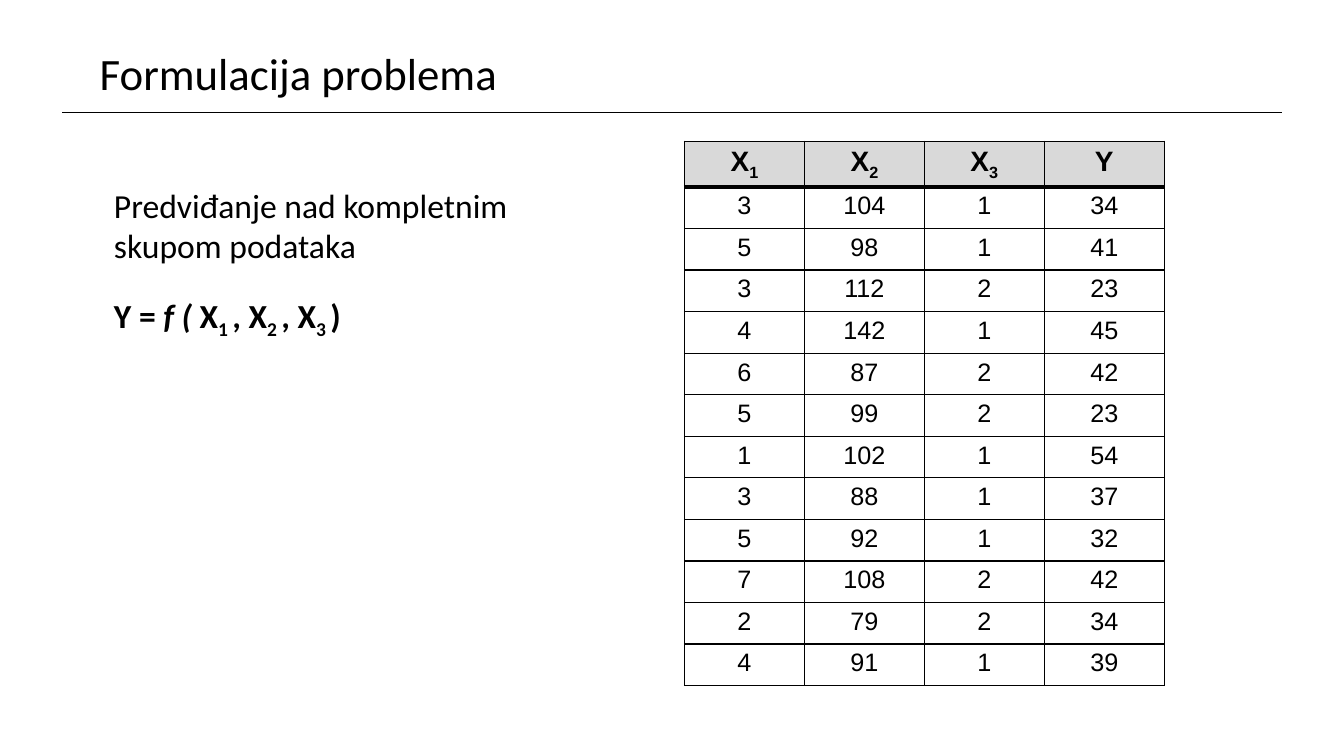
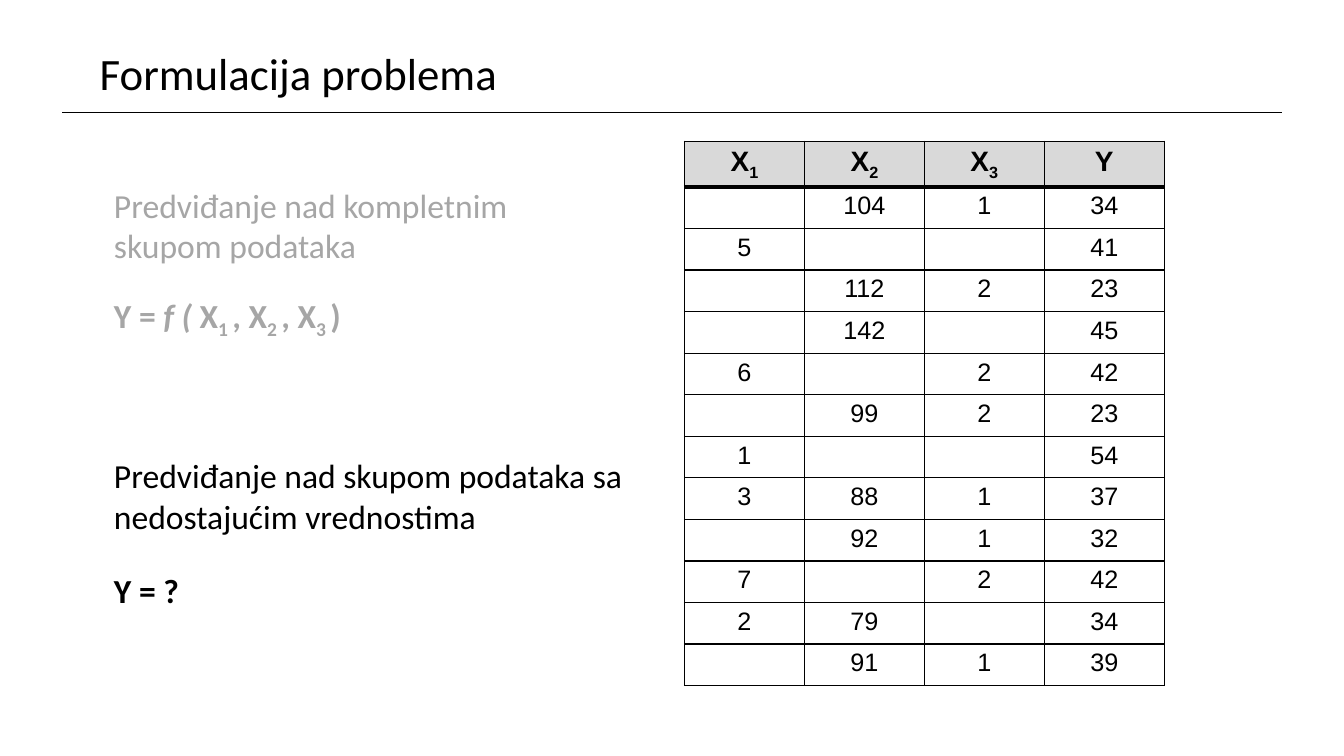
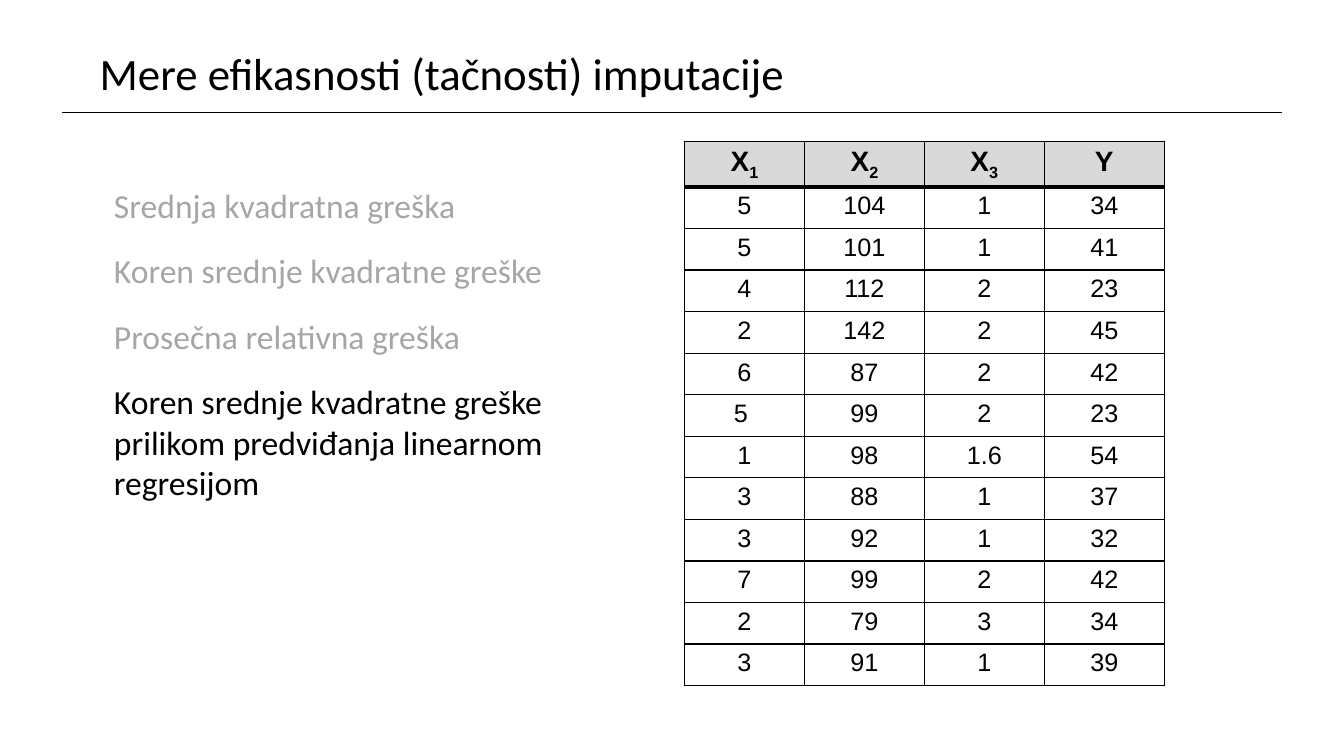
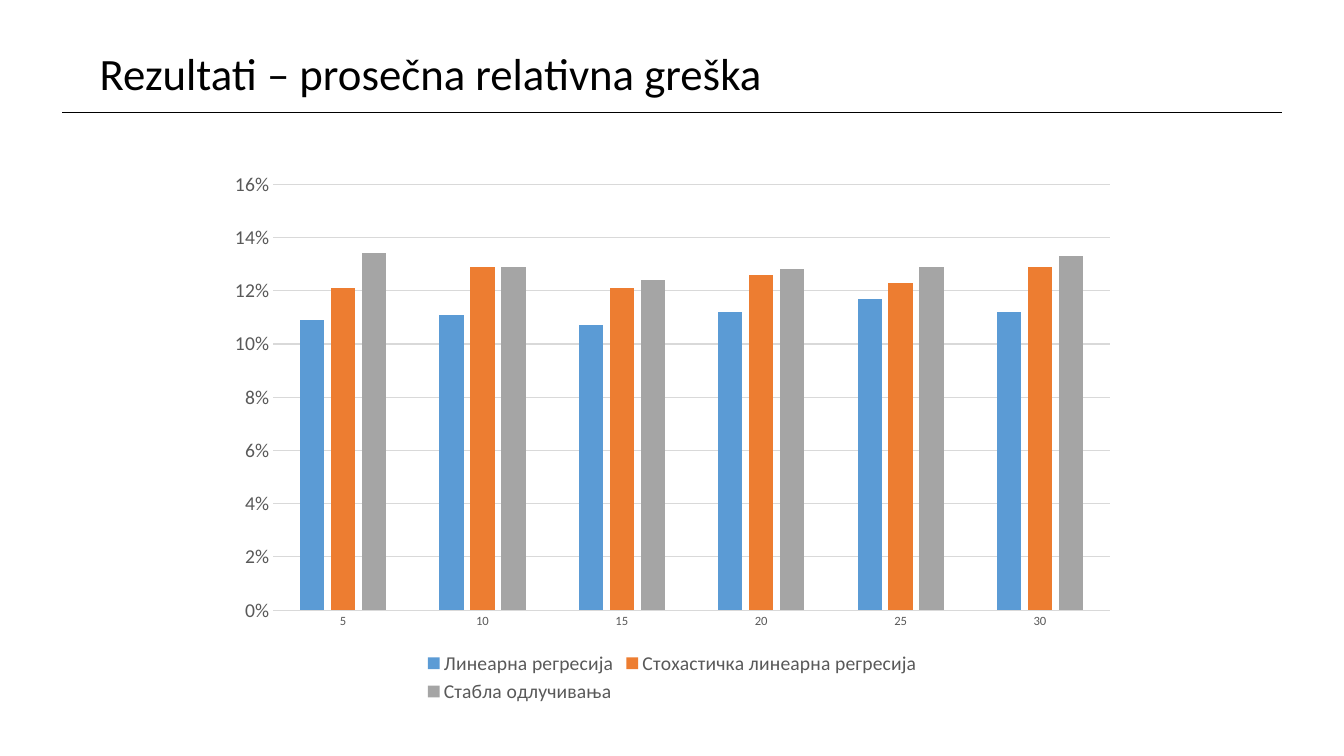
from dataclasses import dataclass

from lxml.etree import SubElement
from pptx import Presentation
from pptx.chart.data import CategoryChartData
from pptx.dml.color import RGBColor
from pptx.enum.chart import XL_CHART_TYPE as ChartType
from pptx.enum.chart import XL_LEGEND_POSITION as LegendPosition
from pptx.enum.chart import XL_TICK_MARK as TickMark
from pptx.enum.shapes import MSO_CONNECTOR as Connector
from pptx.enum.text import MSO_ANCHOR as Anchor
from pptx.enum.text import MSO_AUTO_SIZE as AutoSize
from pptx.enum.text import PP_ALIGN as Align
from pptx.oxml.ns import qn
from pptx.util import Pt


@dataclass(frozen=True)
class Theme:
    font: str = "Calibri"
    table_font: str = "Arial"
    ink: str = "000000"
    faded: str = "A6A6A6"
    header_fill: str = "D9D9D9"
    chart_text: str = "595959"
    chart_line: str = "D9D9D9"
    series: tuple = ("5B9BD5", "ED7D31", "A5A5A5")
    title_size: int = 32
    body_size: int = 24
    header_size: int = 20
    cell_size: int = 18
    chart_size: int = 14
    category_size: int = 9


THEME = Theme()

# Left, top, width and height in points
PAGE_SIZE = (960, 540)
TITLE_BOX = (64, 28.8, 645, 46)
BODY_BOX = (74.2, 128.2, 389.5, 340)
CHART_BOX = (154.8, 115.2, 650.9, 390.2)
TABLE_CORNER = (488.9, 100.8)
RULE_LEFT, RULE_RIGHT, RULE_TOP = 44.6, 915.8, 80.6
COLUMN_WIDTH, HEADER_HEIGHT, ROW_HEIGHT = 85.7, 32.4, 29.7

HEADERS = [
    [("X", "b"), ("1", "b sub")],
    [("X", "b"), ("2", "b sub")],
    [("X", "b"), ("3", "b sub")],
    [("Y", "b")],
]
COMPLETE_DATA = [
    (3, 104, 1, 34), (5, 98, 1, 41), (3, 112, 2, 23), (4, 142, 1, 45),
    (6, 87, 2, 42), (5, 99, 2, 23), (1, 102, 1, 54), (3, 88, 1, 37),
    (5, 92, 1, 32), (7, 108, 2, 42), (2, 79, 2, 34), (4, 91, 1, 39),
]
MISSING_DATA = [
    ("", 104, 1, 34), (5, "", "", 41), ("", 112, 2, 23), ("", 142, "", 45),
    (6, "", 2, 42), ("", 99, 2, 23), (1, "", "", 54), (3, 88, 1, 37),
    ("", 92, 1, 32), (7, "", 2, 42), (2, 79, "", 34), ("", 91, 1, 39),
]
IMPUTED_DATA = [
    (5, 104, 1, 34), (5, 101, 1, 41), (4, 112, 2, 23), (2, 142, 2, 45),
    (6, 87, 2, 42), ("5 ", 99, 2, 23), (1, 98, 1.6, 54), (3, 88, 1, 37),
    (3, 92, 1, 32), (7, 99, 2, 42), (2, 79, 3, 34), (3, 91, 1, 39),
]

FORMULA = [
    ("Y = ", "b"), ("f ( ", "b i"), ("X", "b"), ("1 ", "b sub"),
    (", X", "b"), ("2 ", "b sub"), (", X", "b"), ("3 ", "b sub"), (")", "b"),
]


def complete_case(color):
    return [
        ([("Predviđanje nad kompletnim", "")], 0, color),
        ([("skupom podataka", "")], 0, color),
        (FORMULA, 21, color),
    ]


# Each paragraph: spans, space before, colour
TABLE_SLIDES = [
    ("Formulacija problema", complete_case(THEME.ink), COMPLETE_DATA),
    ("Formulacija problema", complete_case(THEME.faded) + [
        ([("Predviđanje nad skupom podataka sa nedostajućim vrednostima", "")],
         82, THEME.ink),
        ([("Y = ?", "b")], 24, THEME.ink),
    ], MISSING_DATA),
    ("Mere efikasnosti (tačnosti) imputacije", [
        ([("Srednja kvadratna greška", "")], 0, THEME.faded),
        ([("Koren srednje kvadratne greške", "")], 18, THEME.faded),
        ([("Prosečna relativna greška", "")], 18, THEME.faded),
        ([("Koren srednje kvadratne greške prilikom predviđanja "
           "linearnom regresijom", "")], 18, THEME.ink),
    ], IMPUTED_DATA),
]
CHART_TITLE = "Rezultati – prosečna relativna greška"
CATEGORIES = ["5", "10", "15", "20", "25", "30"]
ERRORS = {
    "Линеарна регресија": (0.109, 0.111, 0.107, 0.112, 0.117, 0.112),
    "Стохастичка линеарна регресија": (0.121, 0.129, 0.121, 0.126, 0.123, 0.129),
    "Стабла одлучивања": (0.134, 0.129, 0.124, 0.128, 0.129, 0.133),
}


def rgb(color):
    return RGBColor.from_string(color)


def style_font(font, size, color=THEME.ink, name=THEME.font):
    font.name, font.size = name, Pt(size)
    font.color.rgb = rgb(color)


def add_spans(para, spans, size, color=THEME.ink, name=THEME.font):
    """Add (text, marks) runs; the marks are b, i and sub."""
    for text, marks in spans:
        span = para.add_run()
        span.text = text
        style_font(span.font, size, color, name)
        span.font.bold = "b" in marks.split()
        span.font.italic = "i" in marks.split()
        if "sub" in marks:
            span._r.get_or_add_rPr().set("baseline", "-25000")


def place(shape, frame):
    shape.left, shape.top, shape.width, shape.height = map(Pt, frame)


def add_page(deck, layout_name, title):
    page = deck.slides.add_slide(deck.slide_layouts.get_by_name(layout_name))
    heading = page.shapes.title
    place(heading, TITLE_BOX)
    frame = heading.text_frame
    frame.auto_size, frame.vertical_anchor = AutoSize.NONE, Anchor.MIDDLE
    para = frame.paragraphs[0]
    para.alignment = Align.LEFT
    add_spans(para, [(title, "")], THEME.title_size)

    rule = page.shapes.add_connector(
        Connector.STRAIGHT,
        Pt(RULE_LEFT), Pt(RULE_TOP), Pt(RULE_RIGHT), Pt(RULE_TOP))
    rule.line.color.rgb = rgb(THEME.ink)
    rule.line.width = Pt(0.5)
    SubElement(rule._element.spPr, qn("a:effectLst"))
    return page


def fill_body(page, paragraphs):
    body = page.placeholders[1]
    place(body, BODY_BOX)
    frame = body.text_frame
    frame.auto_size, frame.vertical_anchor = AutoSize.NONE, Anchor.TOP
    for index, (spans, gap, color) in enumerate(paragraphs):
        para = frame.add_paragraph() if index else frame.paragraphs[0]
        para.space_before, para.space_after = Pt(gap), Pt(0)
        para.line_spacing = 1.0
        properties = para._p.get_or_add_pPr()
        properties.set("marL", "0")
        properties.set("indent", "0")
        SubElement(properties, qn("a:buNone"))
        add_spans(para, spans, THEME.body_size, color)


def set_borders(cell, top, bottom):
    properties = cell._tc.get_or_add_tcPr()
    for side, width in (("L", 1), ("R", 1), ("T", top), ("B", bottom)):
        line = SubElement(properties, qn(f"a:ln{side}"), w=str(Pt(width)))
        fill = SubElement(line, qn("a:solidFill"))
        SubElement(fill, qn("a:srgbClr"), val=THEME.ink)


def add_data_table(page, data):
    rows = [HEADERS] + [[[(str(value), "")] for value in row] for row in data]
    table = page.shapes.add_table(
        len(rows), len(HEADERS), *map(Pt, TABLE_CORNER),
        Pt(COLUMN_WIDTH * len(HEADERS)),
        Pt(HEADER_HEIGHT + ROW_HEIGHT * len(data))).table
    table.first_row = table.horz_banding = False
    for column in table.columns:
        column.width = Pt(COLUMN_WIDTH)
    for row_index, row in enumerate(rows):
        is_header = row_index == 0
        table.rows[row_index].height = Pt(HEADER_HEIGHT if is_header else ROW_HEIGHT)
        size = THEME.header_size if is_header else THEME.cell_size
        for column_index, spans in enumerate(row):
            cell = table.cell(row_index, column_index)
            set_borders(cell, top=3 if row_index == 1 else 1,
                        bottom=3 if is_header else 1)
            if is_header:
                cell.fill.solid()
                cell.fill.fore_color.rgb = rgb(THEME.header_fill)
            else:
                cell.fill.background()
            para = cell.text_frame.paragraphs[0]
            para.alignment = Align.CENTER
            if spans[0][0]:
                add_spans(para, spans, size, name=THEME.table_font)


def style_line(line):
    line.color.rgb = rgb(THEME.chart_line)
    line.width = Pt(0.75)


def add_error_chart(page):
    data = CategoryChartData(number_format="0%")
    data.categories = CATEGORIES
    for name, values in ERRORS.items():
        data.add_series(name, values)
    chart = page.shapes.add_chart(
        ChartType.COLUMN_CLUSTERED, *map(Pt, CHART_BOX), data).chart
    style_font(chart.font, 10)
    chart.has_title = False

    chart.has_legend = True
    chart.legend.position = LegendPosition.BOTTOM
    chart.legend.include_in_layout = False
    style_font(chart.legend.font, THEME.chart_size, THEME.chart_text)

    plot = chart.plots[0]
    plot.gap_width, plot.overlap = 219, -27
    plot.vary_by_categories = False
    for series, color in zip(plot.series, THEME.series):
        series.format.fill.solid()
        series.format.fill.fore_color.rgb = rgb(color)

    categories, values = chart.category_axis, chart.value_axis
    for axis, size in ((categories, THEME.category_size),
                       (values, THEME.chart_size)):
        axis.major_tick_mark = axis.minor_tick_mark = TickMark.NONE
        style_font(axis.tick_labels.font, size, THEME.chart_text)
    style_line(categories.format.line)
    values.format.line.fill.background()
    values.has_major_gridlines = True
    style_line(values.major_gridlines.format.line)
    values.minimum_scale, values.maximum_scale, values.major_unit = 0, 0.16, 0.02
    values.tick_labels.number_format = "0%"
    values.tick_labels.number_format_is_linked = False


def main():
    deck = Presentation()
    deck.slide_width, deck.slide_height = map(Pt, PAGE_SIZE)
    for title, paragraphs, data in TABLE_SLIDES:
        page = add_page(deck, "Title and Content", title)
        fill_body(page, paragraphs)
        add_data_table(page, data)
    add_error_chart(add_page(deck, "Title Only", CHART_TITLE))
    deck.save("out.pptx")


if __name__ == "__main__":
    main()
